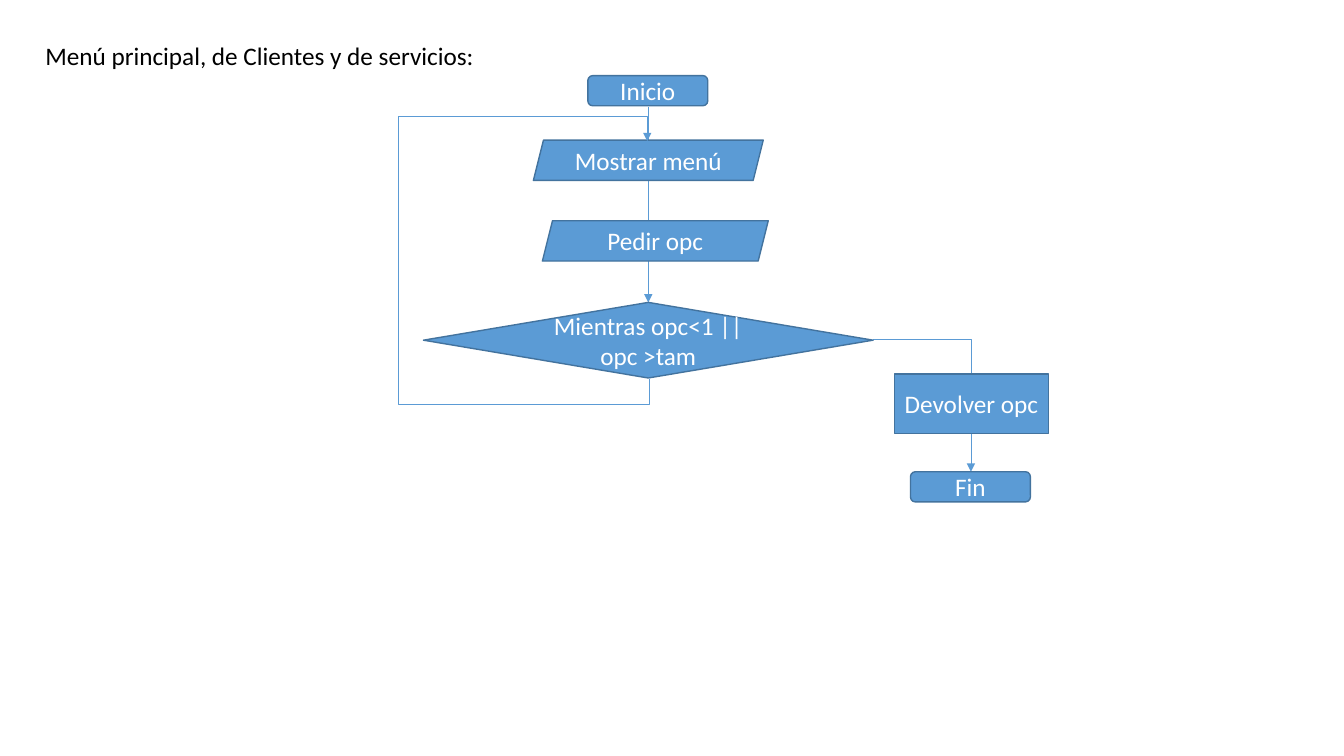
from lxml import etree
from pptx import Presentation
from pptx.dml.color import RGBColor
from pptx.enum import shapes, text
from pptx.oxml.ns import qn
from pptx.util import Inches, Pt

FONT, FONT_SIZE = "Calibri", 18
BLUE, OUTLINE, WHITE, BLACK = "5B9BD5", "43739E", "FFFFFF", "000000"
KIND = shapes.MSO_SHAPE

TITLE = "Menú principal, de Clientes y de servicios:"
# text, kind, left, top, width, height
STEPS = [
    ("Inicio", KIND.ROUNDED_RECTANGLE, 5.83, 0.75, 1.19, 0.3),
    ("Fin", KIND.ROUNDED_RECTANGLE, 9.03, 4.68, 1.19, 0.3),
    ("Mostrar menú", KIND.PARALLELOGRAM, 5.29, 1.39, 2.28, 0.4),
    ("Pedir opc", KIND.PARALLELOGRAM, 5.38, 2.19, 2.24, 0.4),
    ("Mientras opc<1 ||opc >tam", KIND.DIAMOND, 4.2, 3, 4.46, 0.75),
    ("Devolver opc", KIND.RECTANGLE, 8.87, 3.71, 1.53, 0.59),
]
MAIN_FLOW = (6.43, 1.06, 6.43, 3)
EXIT_FLOW = (8.66, 3.37, 9.63, 4.68)
# The loop leaves the diamond's foot, runs up the left side and re-enters the menu step
LOOP_START, LOOP_END = (6.44, 3.76), (6.42, 1.4)
LOOP_LEFT, LOOP_OVERSHOOT = 3.96, 0.25


def color(value):
    """Turn a hex string into a colour."""
    return RGBColor.from_string(value)


def write(shape, content, font_color):
    """Put one formatted paragraph in a shape and return the paragraph."""
    shape.text_frame.text = content
    paragraph = shape.text_frame.paragraphs[0]
    font = paragraph.runs[0].font
    font.name, font.size = FONT, Pt(FONT_SIZE)
    font.color.rgb = color(font_color)
    return paragraph


def add_step(slide, content, kind, *box):
    """Add one flowchart step with centred text."""
    shape = slide.shapes.add_shape(kind, *map(Inches, box))
    shape.shadow.inherit = False
    shape.fill.solid()
    shape.fill.fore_color.rgb = color(BLUE)
    shape.line.color.rgb = color(OUTLINE)
    shape.line.width = Pt(1)
    shape.text_frame.word_wrap = True
    shape.text_frame.vertical_anchor = text.MSO_ANCHOR.MIDDLE
    write(shape, content, WHITE).alignment = text.PP_ALIGN.CENTER


def add_arrow(slide, kind, *ends):
    """Add a thin arrow and return its shape properties element."""
    connector = slide.shapes.add_connector(kind, *map(Inches, ends))
    connector.line.color.rgb = color(BLUE)
    connector.line.width = Pt(0.5)
    properties = connector._element.spPr
    line = properties.find(qn("a:ln"))
    etree.SubElement(line, qn("a:tailEnd"), type="triangle")
    etree.SubElement(properties, qn("a:effectLst"))
    return properties


def set_bends(properties, preset, ratios=()):
    """Choose the bent connector preset and its adjustments."""
    geometry = properties.find(qn("a:prstGeom"))
    geometry.set("prst", preset)
    guides = geometry.find(qn("a:avLst"))
    for number, ratio in enumerate(ratios, 1):
        etree.SubElement(guides, qn("a:gd"), name=f"adj{number}",
                         fmla=f"val {round(ratio * 100000)}")


def add_loop(slide):
    """Add the return arrow as a quarter-turned, mirrored connector."""
    (start_x, start_y), (end_x, end_y) = LOOP_START, LOOP_END
    length, depth = start_y - end_y, start_x - end_x
    center_x, center_y = (start_x + end_x) / 2, (start_y + end_y) / 2
    properties = add_arrow(
        slide, shapes.MSO_CONNECTOR.ELBOW,
        center_x + length / 2, center_y - depth / 2,
        center_x - length / 2, center_y + depth / 2)
    properties.find(qn("a:xfrm")).set("rot", str(90 * 60000))
    overshoot = LOOP_OVERSHOOT / length
    set_bends(properties, "bentConnector5",
              (-overshoot, (start_x - LOOP_LEFT) / depth, 1 + overshoot))


def add_title(slide):
    """Place the heading in the title placeholder."""
    title = slide.shapes.title
    title.left, title.top = Inches(0.35), Inches(0.35)
    title.width, title.height = Inches(4.51), Inches(0.4)
    frame = title.text_frame
    frame.word_wrap = False
    frame.auto_size = text.MSO_AUTO_SIZE.NONE
    frame.vertical_anchor = text.MSO_ANCHOR.TOP
    write(title, TITLE, BLACK).alignment = text.PP_ALIGN.LEFT


presentation = Presentation()
presentation.slide_width, presentation.slide_height = Inches(13.33), Inches(7.5)
slide = presentation.slides.add_slide(presentation.slide_layouts[5])
add_title(slide)
set_bends(add_arrow(slide, shapes.MSO_CONNECTOR.ELBOW, *EXIT_FLOW), "bentConnector2")
add_arrow(slide, shapes.MSO_CONNECTOR.STRAIGHT, *MAIN_FLOW)
for step in STEPS:
    add_step(slide, *step)
add_loop(slide)
presentation.save("out.pptx")
